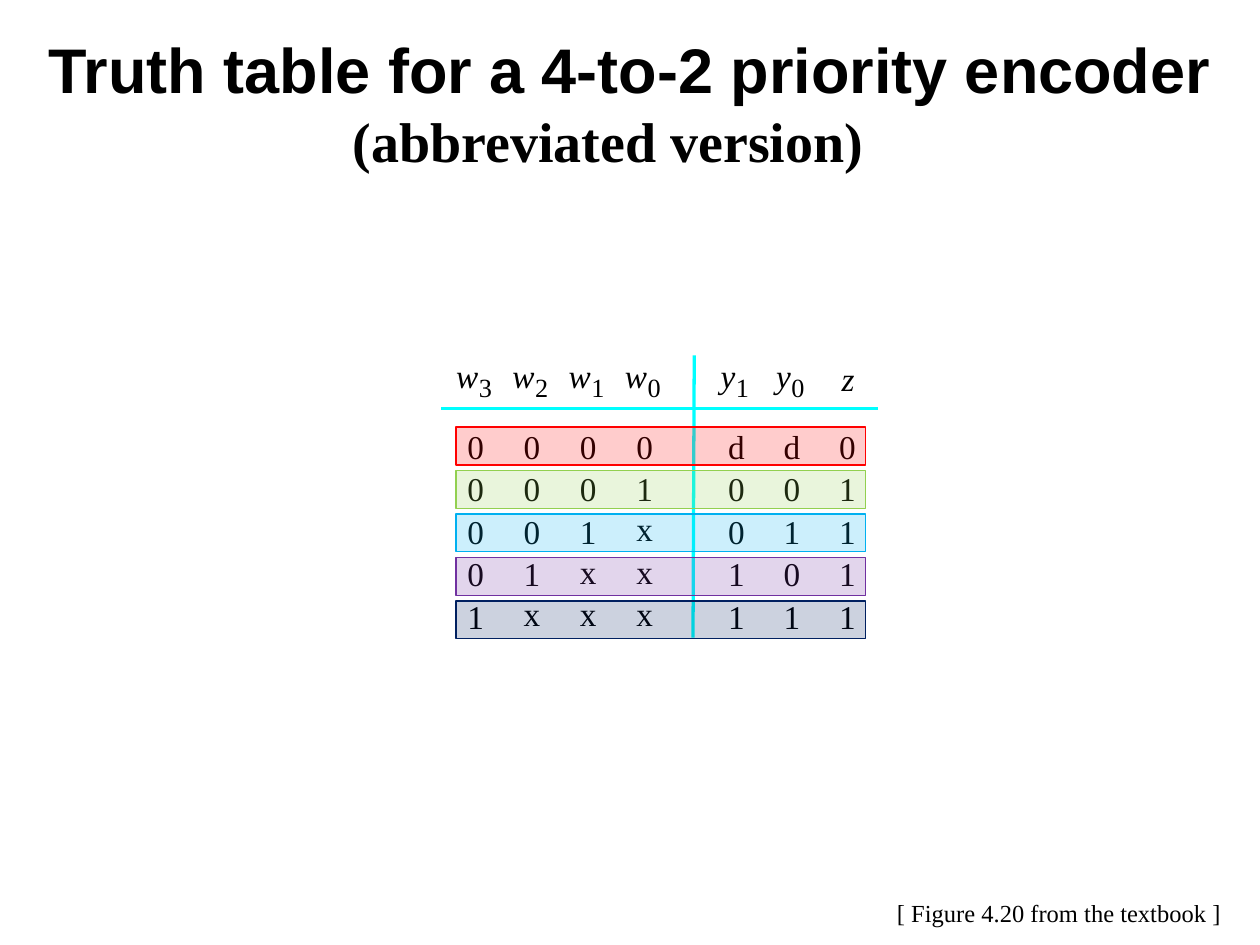
from lxml.etree import SubElement
from pptx import Presentation
from pptx.dml.color import RGBColor
from pptx.enum.shapes import MSO_CONNECTOR as CONN, MSO_SHAPE as SHAPE
from pptx.enum.text import MSO_ANCHOR as ANCHOR, PP_ALIGN as ALIGN
from pptx.oxml.ns import qn
from pptx.util import Inches, Pt

BLACK = RGBColor(0x00, 0x00, 0x00)
CYAN = RGBColor(0x00, 0xFF, 0xFF)
RED = RGBColor(0xFF, 0x00, 0x00)
GREEN = RGBColor(0x92, 0xD0, 0x50)
BLUE = RGBColor(0x00, 0xB0, 0xF0)
PURPLE = RGBColor(0x70, 0x30, 0xA0)
NAVY = RGBColor(0x00, 0x20, 0x60)
SERIF, SANS = "Times New Roman", "Arial"

TITLE = "Truth table for a 4-to-2 priority encoder"
SUBTITLE = "(abbreviated version)"
SOURCE = "[ Figure 4.20 from the textbook ]"
HEADERS = ["w3", "w2", "w1", "w0", "y1", "y0", "z"]
ROWS = [("0000dd0", RED), ("0001001", GREEN), ("001x011", BLUE),
        ("01xx101", PURPLE), ("1xxx111", NAVY)]
RULES = [(3.5, 3.24, 6.97, 3.24), (5.5, 5.06, 5.51, 2.82)]

INPUT_LEFT, INPUT_STEP = 3.71, 1.34 / 3
OUTPUT_LEFT, OUTPUT_STEP = 5.78, 0.44
COLUMNS = ([INPUT_LEFT + INPUT_STEP * i for i in range(4)]
           + [OUTPUT_LEFT + OUTPUT_STEP * i for i in range(3)])
HEADER_TOP, ROW_TOP, ROW_STEP = 2.82, 3.38, 1.35 / 4
BAND_LEFT, BAND_TOP, BAND_STEP = 3.62, 3.39, 1.38 / 4
SHIFTS = {"w": (-0.09, 0, 0.18), "y": (-0.06, 0, 0.12), "z": (0.02, 0.02, 0)}


def write(sp, text, size=19, font=SERIF, bold=False, italic=False, align=ALIGN.LEFT,
          anchor=ANCHOR.TOP, inset=None):
    """Put one formatted run of text into a shape."""
    tf = sp.text_frame
    tf.word_wrap = True
    tf.vertical_anchor = anchor
    if inset is not None:
        tf.margin_left = tf.margin_right = tf.margin_top = tf.margin_bottom = Inches(inset)
    p = tf.paragraphs[0]
    p.alignment = align
    r = p.add_run()
    r.text = text
    r.font.size, r.font.name = Pt(size), font
    r.font.bold, r.font.italic = bold, italic
    r.font.color.rgb = BLACK


def add_text(shapes, text, x, y, w=0.27, h=0.35, **fmt):
    """Add a text box holding one formatted run."""
    write(shapes.add_textbox(Inches(x), Inches(y), Inches(w), Inches(h)), text, **fmt)


def add_rule(shapes, ends):
    """Add a cyan table rule between two points."""
    line = shapes.add_connector(CONN.STRAIGHT, *map(Inches, ends))
    line.line.color.rgb = CYAN
    line.line.width = Pt(1.88)
    SubElement(line._element.spPr, qn("a:effectLst"))


def add_band(shapes, row, color):
    """Tint one table row with a see-through rectangle."""
    sp = shapes.add_shape(SHAPE.RECTANGLE, Inches(BAND_LEFT),
                          Inches(BAND_TOP + BAND_STEP * row), Inches(3.25), Inches(0.3))
    sp.shadow.inherit = False
    sp.fill.solid()
    sp.fill.fore_color.rgb = color
    SubElement(sp._element.spPr.find(qn("a:solidFill"))[0], qn("a:alpha"), val="20000")
    sp.line.color.rgb = color
    sp.line.width = Pt(0.75)


def add_truth_table(shapes):
    """Draw the rules, the headers and the cell values."""
    for ends in RULES:
        add_rule(shapes, ends)
    for x, name in zip(COLUMNS, HEADERS):
        letter, index = name[0], name[1:]
        dx, dy, gap = SHIFTS[letter]
        add_text(shapes, letter, x + dx, HEADER_TOP + dy, italic=True, inset=0)
        if index:
            add_text(shapes, index, x + dx + gap, HEADER_TOP + 0.13, w=0.21, h=0.28,
                     size=15, inset=0)
    for row, (values, _) in enumerate(ROWS):
        for x, value in zip(COLUMNS, values):
            lift = 0.02 if value == "x" else 0
            add_text(shapes, value, x, ROW_TOP + ROW_STEP * row - lift, inset=0)


def main():
    """Build the slide and save it."""
    prs = Presentation()
    prs.slide_width, prs.slide_height = Inches(10), Inches(7.5)
    s = prs.slides.add_slide(prs.slide_layouts[5])
    title = s.shapes.title
    title.left, title.top = Inches(0), Inches(0.17)
    title.width, title.height = Inches(10), Inches(0.75)
    write(title, TITLE, size=36, font=SANS, bold=True, align=ALIGN.CENTER,
          anchor=ANCHOR.MIDDLE)
    add_text(s.shapes, SUBTITLE, 2.7, 0.8, w=4.73, h=0.64, size=32, bold=True)
    add_truth_table(s.shapes.add_group_shape().shapes)
    for row, (_, color) in enumerate(ROWS):
        add_band(s.shapes, row, color)
    add_text(s.shapes, SOURCE, 7.02, 7.08, w=2.79, h=0.34, size=14)
    prs.save("out.pptx")


if __name__ == "__main__":
    main()
